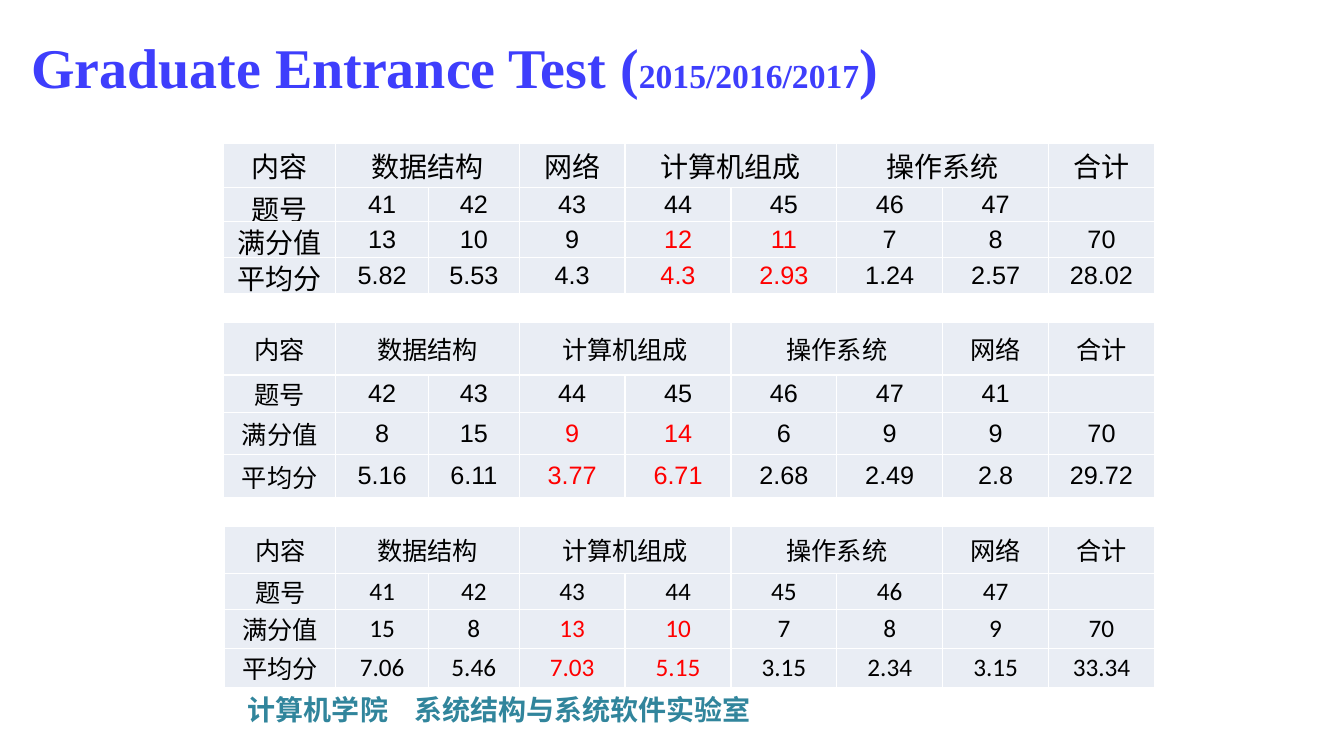
import pptx
import pptx.dml.color
import pptx.enum.text
import pptx.oxml
import pptx.oxml.ns
import pptx.util
from dataclasses import dataclass

Inches = pptx.util.Inches
Pt = pptx.util.Pt
MID = pptx.enum.text.MSO_ANCHOR.MIDDLE
MARK = pptx.oxml.ns.nsdecls("a")


@dataclass
class Theme:
    """Colours, fonts and type sizes."""
    ink: str = "000000"
    red: str = "FF0000"
    blue: str = "3E3EFC"
    teal: str = "31859C"
    cell: str = "E9EDF4"
    edge: str = "FFFFFF"
    sans: str = "Arial"
    plain: str = "Calibri"
    serif: str = "Times New Roman"
    han: str = "Noto Sans CJK SC"
    head: int = 40
    years: int = 24
    large: int = 20
    body: int = 18


def write(para, text, size, font, color, han, bold=False):
    """Add one formatted run to a paragraph."""
    run = para.add_run()
    run.text = text
    face = run.font
    face.size, face.name, face.bold = Pt(size), font, bold
    face.color.rgb = pptx.dml.color.RGBColor.from_string(color)
    face.fill.solid()
    face.color.rgb = pptx.dml.color.RGBColor.from_string(color)
    latin = run._r.get_or_add_rPr().find(pptx.oxml.ns.qn("a:latin"))
    latin.addnext(pptx.oxml.parse_xml(f'<a:ea {MARK} typeface="{han}"/>'))


class Page:
    """Draws the elements of one slide in one style."""

    def __init__(self, slide, theme):
        self.slide, self.theme = slide, theme

    def text(self, place, parts, tab=None, **form):
        """Add a text box of (text, size) runs."""
        box = self.slide.shapes.add_textbox(*map(Inches, place))
        frame = box.text_frame
        frame.word_wrap, frame.vertical_anchor = True, MID
        para = frame.paragraphs[0]
        if tab:
            para._p.get_or_add_pPr().append(pptx.oxml.parse_xml(
                f'<a:tabLst {MARK}><a:tab pos="{Inches(tab)}" algn="l"/></a:tabLst>'))
        for words, size in parts:
            write(para, words, size, han=self.theme.han, **form)

    def cell(self, cell, text, **form):
        """Fill, edge and write one table cell."""
        props = cell._tc.get_or_add_tcPr()
        for side in "LRTB":
            props.append(pptx.oxml.parse_xml(
                f'<a:ln{side} {MARK} w="{Pt(1)}"><a:solidFill>'
                f'<a:srgbClr val="{self.theme.edge}"/></a:solidFill></a:ln{side}>'))
        cell.fill.solid()
        cell.fill.fore_color.rgb = pptx.dml.color.RGBColor.from_string(self.theme.cell)
        cell.margin_left = cell.margin_right = Inches(0.07)
        cell.margin_top = cell.margin_bottom = 0
        cell.vertical_anchor = MID
        para = cell.text_frame.paragraphs[0]
        para.alignment = pptx.enum.text.PP_ALIGN.CENTER
        if text:
            write(para, text, han=self.theme.han, **form)
        else:
            para.font.size = Pt(self.theme.body)

    def table(self, place, first, highs, rows, hot, size, font):
        """Add a score table; None in a row joins the cell to its left."""
        look = self.theme
        wides = [first, 0.92, 0.9] + [1.05] * 6
        grid = self.slide.shapes.add_table(
            len(rows), len(wides), *map(Inches, (*place, sum(wides), sum(highs)))).table
        grid.first_row = grid.horz_banding = False
        for col, wide in zip(grid.columns, wides):
            col.width = Inches(wide)
        for row, high in zip(grid.rows, highs):
            row.height = Inches(high)
        for r, row in enumerate(rows):
            for c, text in enumerate(row):
                label = r == 0 or c == 0
                self.cell(grid.cell(r, c), text,
                          size=size if label else look.body,
                          font=look.sans if label else font,
                          color=look.red if r > 1 and c in hot else look.ink)
                if text is None:
                    grid.cell(r, c - 1).merge(grid.cell(r, c))


DATA, ORG, OPS, NET = ("数据结构", None), ("计算机组成", None), ("操作系统", None), ("网络",)


def rows(topics, tasks, full, mean):
    """Return the four labelled rows of a score table."""
    top = ["内容", *[name for topic in topics for name in topic], "合计"]
    return [top, ["题号", *tasks.split(), ""],
            ["满分值", *full.split()], ["平均分", *mean.split()]]


def main():
    """Build and save the slide."""
    deck = pptx.Presentation()
    deck.slide_width, deck.slide_height = Inches(13.33), Inches(7.5)
    look = Theme()
    page = Page(deck.slides.add_slide(deck.slide_layouts[6]), look)
    page.text((2.36, 6.82, 9.66, 0.44), [("计算机学院\t系统结构与系统软件实验室", look.large)],
              tab=1.65, font=look.han, color=look.teal, bold=True)
    page.text((0.21, 0.03, 9.88, 1.25),
              [("Graduate Entrance Test (", look.head), ("2015/2016/2017", look.years),
               (")", look.head)], font=look.serif, color=look.blue, bold=True)
    page.table((2.22, 1.42), 1.11, (0.44, 0.32, 0.36, 0.36),
               rows((DATA, NET, ORG, OPS), "41 42 43 44 45 46 47",
                    "13 10 9 12 11 7 8 70",
                    "5.82 5.53 4.3 4.3 2.93 1.24 2.57 28.02"),
               (4, 5), look.large, look.sans)
    page.table((2.22, 3.2), 1.11, (0.52, 0.37, 0.42, 0.43),
               rows((DATA, ORG, OPS, NET), "42 43 44 45 46 47 41",
                    "8 15 9 14 6 9 9 70",
                    "5.16 6.11 3.77 6.71 2.68 2.49 2.8 29.72"),
               (3, 4), look.body, look.sans)
    page.table((2.23, 5.22), 1.1, (0.47, 0.36, 0.38, 0.39),
               rows((DATA, ORG, OPS, NET), "41 42 43 44 45 46 47",
                    "15 8 13 10 7 8 9 70",
                    "7.06 5.46 7.03 5.15 3.15 2.34 3.15 33.34"),
               (3, 4), look.body, look.plain)
    deck.save("out.pptx")


if __name__ == "__main__":
    main()
